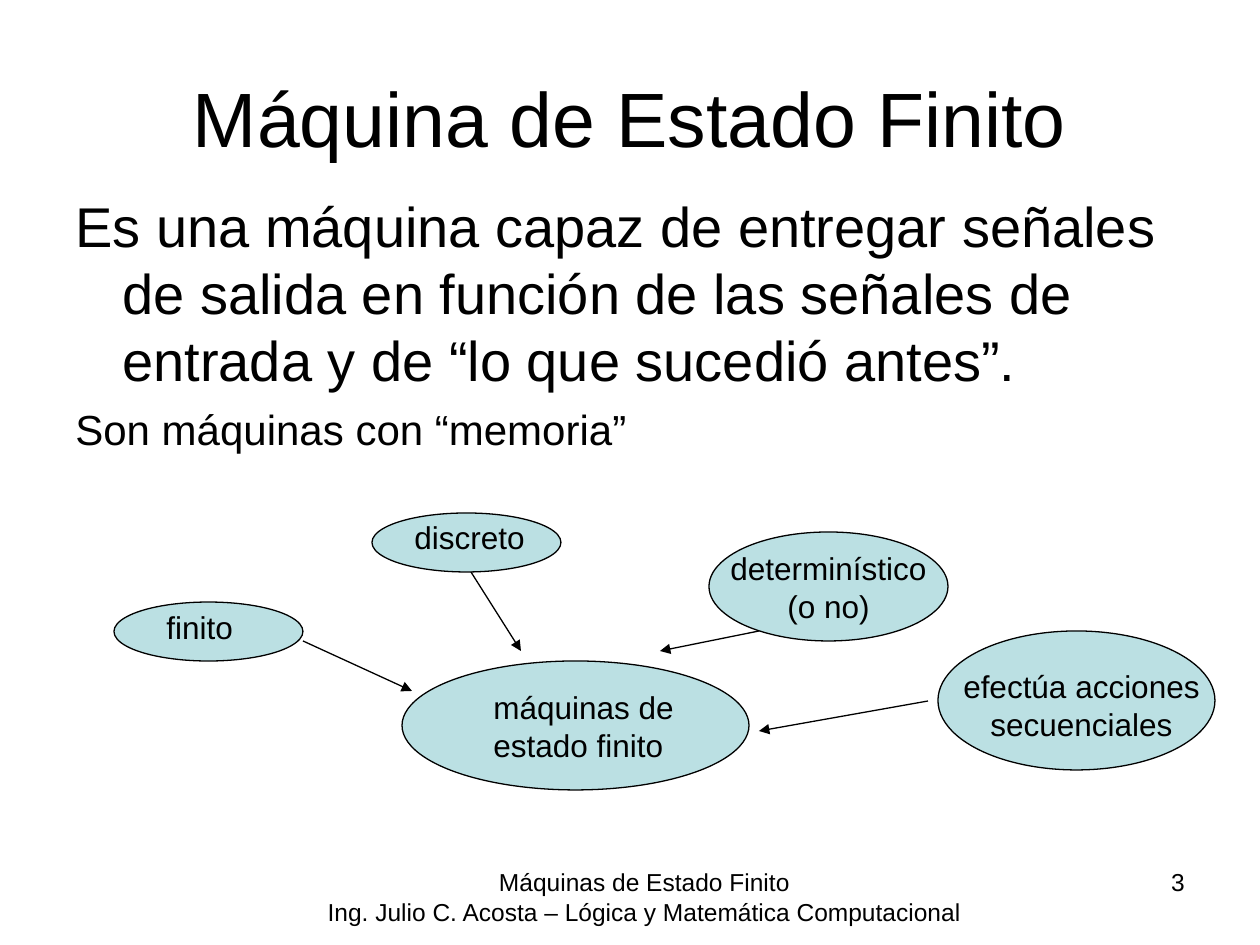
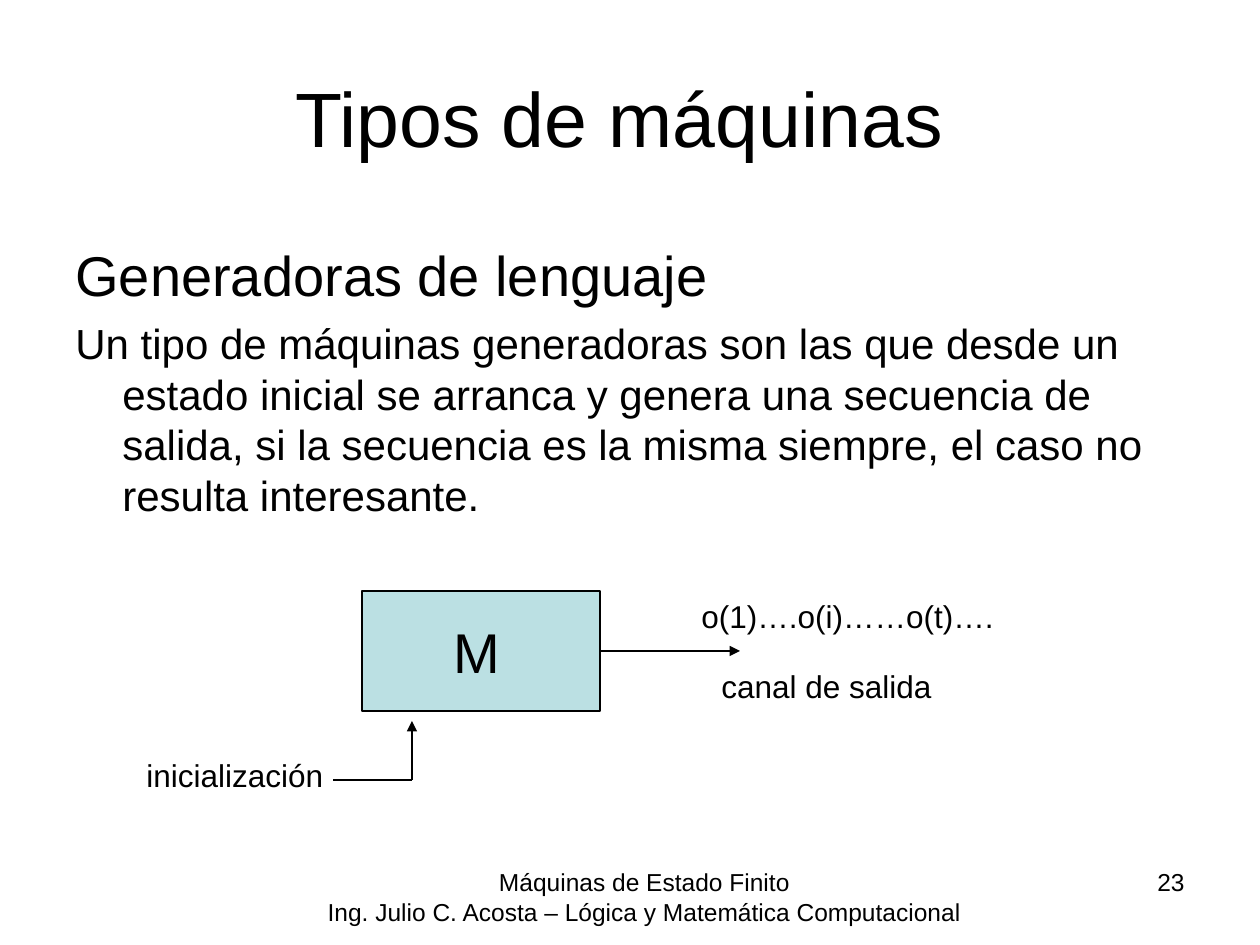
from lxml import etree
from pptx import Presentation
from pptx import util as u
from pptx.dml.color import RGBColor
from pptx.enum import shapes, text
from pptx.oxml import ns

PX = 914400 / 126
COLORS = {"ink": "000000", "fill": "BBE0E3", "paper": "FFFFFF"}
FONT = "Arial"
INK = RGBColor.from_string(COLORS["ink"])
LEFT, CENTER, RIGHT = text.PP_ALIGN.LEFT, text.PP_ALIGN.CENTER, text.PP_ALIGN.RIGHT
OVAL, RECT = shapes.MSO_SHAPE.OVAL, shapes.MSO_SHAPE.RECTANGLE

FOOTER = ["Máquinas de Estado Finito",
          "Ing. Julio C. Acosta – Lógica y Matemática Computacional"]

# Boxes are (left, top, width, height) in px; lines are (x1, y1, x2, y2, arrow).
SLIDES = [
    {
        "number": "3",
        "title": "Máquina de Estado Finito",
        "body_box": (63, 185, 1134, 297),
        "body": ["Es una máquina capaz de entregar señales de salida en función de "
                 "las señales de entrada y de “lo que sucedió antes”.",
                 "Son máquinas con “memoria”"],
        "nodes": [
            (OVAL, (402, 661, 347, 129)),
            (OVAL, (114, 602, 189, 59)),
            (OVAL, (372, 513, 189, 59)),
            (OVAL, (709, 532, 239, 109)),
            (OVAL, (938, 631, 277, 139)),
        ],
        "labels": [
            ("máquinas de estado finito", (481, 682, 287, 88), 18, LEFT),
            ("finito", (154, 602, 129, 50), 18, LEFT),
            ("discreto", (402, 512, 149, 50), 18, LEFT),
            ("determinístico (o no)", (709, 543, 239, 88), 18, CENTER),
            ("efectúa acciones secuenciales", (948, 661, 267, 88), 18, CENTER),
        ],
        "lines": [(303, 641, 412, 691, True), (471, 572, 521, 651, True),
                  (759, 631, 660, 651, True), (928, 701, 759, 731, True)],
    },
    {
        "number": "23",
        "title": "Tipos de máquinas ",
        "body_box": (63, 234, 1134, 307),
        "body": ["Generadoras de lenguaje",
                 "Un tipo de máquinas generadoras son las que desde un estado inicial "
                 "se arranca y genera una secuencia de salida, si la secuencia es la "
                 "misma siempre, el caso no resulta interesante."],
        "nodes": [(RECT, (362, 591, 238, 120))],
        "labels": [
            ("M", (441, 611, 199, 81), 32, LEFT),
            ("o(1)….o(i)……o(t)….", (689, 591, 348, 50), 18, LEFT),
            ("canal de salida", (709, 661, 289, 50), 18, LEFT),
            ("inicialización", (134, 750, 287, 50), 18, LEFT),
        ],
        "lines": [(412, 780, 412, 721, True), (412, 780, 333, 780, False),
                  (600, 651, 740, 651, True)],
    },
]


def px(*lengths):
    return [u.Emu(round(n * PX)) for n in lengths]


def write(tf, paragraphs, align=LEFT):
    """Fill a text frame with (text, size) paragraphs and return them."""
    tf.word_wrap = True
    for i, (words, size) in enumerate(paragraphs):
        p = tf.paragraphs[0] if i == 0 else tf.add_paragraph()
        p.alignment = align
        r = p.add_run()
        r.text = words
        r.font.name, r.font.size = FONT, u.Pt(size)
        r.font.color.rgb = INK
    return tf.paragraphs


prs = Presentation()
prs.slide_width, prs.slide_height = px(1260, 945)

for spec_slide in SLIDES:
    s = prs.slides.add_slide(prs.slide_layouts[5])
    s.background.fill.solid()
    s.background.fill.fore_color.rgb = RGBColor.from_string(COLORS["paper"])

    title = s.shapes.title
    title.left, title.top, title.width, title.height = px(63, 38, 1134, 157)
    title.text_frame.vertical_anchor = text.MSO_ANCHOR.MIDDLE
    write(title.text_frame, [(spec_slide["title"], 44)], CENTER)

    body = s.shapes.add_textbox(*px(*spec_slide["body_box"]))
    paragraphs = write(body.text_frame, zip(spec_slide["body"], (32, 24)))
    for p in paragraphs:
        indent = px(47)[0]
        p._p.get_or_add_pPr().set("marL", str(indent))
        p._p.get_or_add_pPr().set("indent", str(-indent))
    paragraphs[1].space_before = u.Pt(6)

    nodes = []
    for kind, box in spec_slide["nodes"]:
        sp = s.shapes.add_shape(kind, *px(*box))
        sp.shadow.inherit = False
        sp.fill.solid()
        sp.fill.fore_color.rgb = RGBColor.from_string(COLORS["fill"])
        sp.line.color.rgb = INK
        sp.line.width = u.Pt(0.75)
        nodes.append((sp, box))

    for words, box, size, align in spec_slide["labels"]:
        label = s.shapes.add_textbox(*px(*box))
        write(label.text_frame, [(words, size)], align)

    for x1, y1, x2, y2, arrow in spec_slide["lines"]:
        line = s.shapes.add_connector(shapes.MSO_CONNECTOR.STRAIGHT, *px(x1, y1, x2, y2))
        line.line.color.rgb = INK
        line.line.width = u.Pt(0.75)
        if arrow:
            etree.SubElement(line.line._get_or_add_ln(), ns.qn("a:tailEnd"), type="triangle")
        etree.SubElement(line._element.spPr, ns.qn("a:effectLst"))
        for sp, (left, top, width, height) in nodes:
            if (x1, y1) == (left + width, top + height // 2):
                line.begin_connect(sp, 3)

    footer = s.shapes.add_textbox(*px(272, 861, 745, 66))
    write(footer.text_frame, [(words, 14) for words in FOOTER], CENTER)
    number = s.shapes.add_textbox(*px(903, 861, 294, 66))
    write(number.text_frame, [(spec_slide["number"], 14)], RIGHT)

prs.save("out.pptx")
